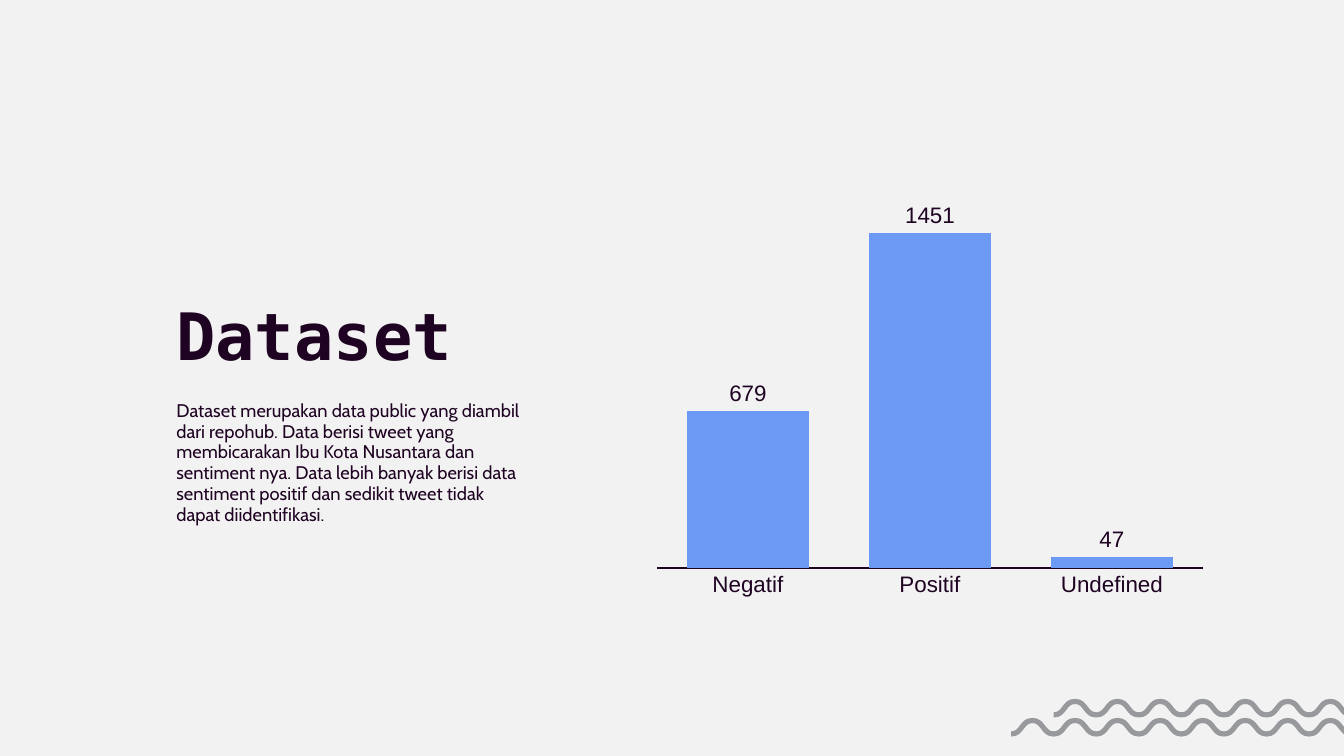
import math
from pptx import Presentation
from pptx import util as u
from pptx.chart.data import CategoryChartData
from pptx.dml.color import RGBColor
from pptx.enum import chart as charts, text
from pptx.oxml import ns

INK, BLUE, GREY, PAPER = "1F0322", "6B99F4", "97999C", "F2F2F2"
DESCRIPTION = (
    "Dataset merupakan data public yang diambil dari repohub. Data berisi tweet "
    "yang membicarakan Ibu Kota Nusantara dan sentiment nya. Data lebih banyak "
    "berisi data sentiment positif dan sedikit tweet tidak dapat diidentifikasi."
)
COUNTS = {"Negatif": 679, "Positif": 1451, "Undefined": 47}


def color(value):
    """Turn a hex string into a colour."""
    return RGBColor.from_string(value)


def style_font(font, name, size, ink=INK, bold=False):
    """Set the face, size, colour and weight of a font."""
    font.name, font.size, font.bold = name, u.Pt(size), bold
    font.color.rgb = color(ink)


def add_text(slide, box, words, *, name, size, bold=False, spacing=1.0,
             anchor=text.MSO_ANCHOR.TOP):
    """Add a wrapped text box with one formatted paragraph."""
    frame = slide.shapes.add_textbox(*map(u.Pt, box)).text_frame
    frame.word_wrap = True
    frame.vertical_anchor = anchor
    frame.margin_left = frame.margin_right = u.Pt(7.2)
    frame.margin_top = frame.margin_bottom = u.Pt(7.2)
    paragraph = frame.paragraphs[0]
    paragraph.line_spacing = spacing
    run = paragraph.add_run()
    run.text = words
    style_font(run.font, name, size, bold=bold)


def add_intro(slide, left, top, width, height):
    """Stack the title over the description in two equal halves."""
    half = height / 2
    add_text(slide, (left, top, width, half), "Dataset",
             name="DejaVu Sans Mono", size=35, bold=True,
             anchor=text.MSO_ANCHOR.BOTTOM)
    add_text(slide, (left, top + half, width - 10.8, half), DESCRIPTION,
             name="Cabin", size=9.8, spacing=0.95)


def add_sentiment_chart(slide, left, top, width, height):
    """Add the column chart of tweets per sentiment."""
    data = CategoryChartData()
    data.categories = list(COUNTS)
    data.add_series("Series 1", list(COUNTS.values()))
    chart = slide.shapes.add_chart(
        charts.XL_CHART_TYPE.COLUMN_CLUSTERED,
        *map(u.Pt, (left, top, width, height)), data).chart
    chart.has_legend = chart.has_title = False
    style_font(chart.font, "Arial", 10)

    values = chart.value_axis
    values.visible = values.has_major_gridlines = False
    values.minimum_scale, values.maximum_scale = 0, 1600
    categories = chart.category_axis
    categories.major_tick_mark = charts.XL_TICK_MARK.NONE
    categories.format.line.color.rgb = color(INK)
    categories.format.line.width = u.Pt(0.75)
    style_font(categories.tick_labels.font, "Arial", 12)

    plot = chart.plots[0]
    plot.gap_width, plot.overlap = 50, -27
    plot.vary_by_categories = False
    plot.has_data_labels = True
    labels = plot.data_labels
    labels.show_value = True
    labels.position = charts.XL_LABEL_POSITION.OUTSIDE_END
    style_font(labels.font, "Arial", 12)
    fill = plot.series[0].format.fill
    fill.solid()
    fill.fore_color.rgb = color(BLUE)


def wave_edge(left, middle, period, cycles, amplitude, offset):
    """Return the Bézier points of one wave edge, offset above the centre line."""
    points = []
    for quarter in range(4 * cycles + 1):
        angle = quarter * math.pi / 2
        cosine, sine = math.cos(angle), math.sin(angle)
        slope = -amplitude * 2 * math.pi / period * sine
        length = math.hypot(1, slope)
        x = left + period * quarter / 4 + offset * slope / length
        y = middle + amplitude * cosine - offset / length
        reach = 1.5 if quarter % 2 else 2.9 - 0.5 * cosine * offset
        rise = -2 * sine
        points += [(x - reach, y - rise), (x, y), (x + reach, y + rise)]
    return [(u.Pt(x), u.Pt(y)) for x, y in points[1:-1]]


def fold_curve(lines):
    """Turn each three straight segments into one Bézier segment."""
    for first, second, third in zip(lines[::3], lines[1::3], lines[2::3]):
        first.tag = ns.qn("a:cubicBezTo")
        for line in (second, third):
            first.extend(list(line))
            line.getparent().remove(line)


def add_waves(slide, left, top, width, height):
    """Draw two parallel waves, the upper one shifted right by one period."""
    cycles, amplitude, half = 8, 3.6, 1.4
    period = width / (cycles + 1)
    drop = height - 2 * (amplitude + half)
    ribbons = []
    for x, y in ((left + period, top), (left, top + drop)):
        upper, lower = (
            wave_edge(x, y + amplitude + half, period, cycles, amplitude, offset)
            for offset in (half, -half))
        ribbons.append(upper + lower[::-1])
    builder = slide.shapes.build_freeform(*ribbons[0][0])
    builder.add_line_segments(ribbons[0][1:])
    builder.move_to(*ribbons[1][0])
    builder.add_line_segments(ribbons[1][1:])
    waves = builder.convert_to_shape()
    lines = list(waves.element.iter(ns.qn("a:lnTo")))
    edge = 12 * cycles
    for ribbon in range(2):
        start = ribbon * (2 * edge + 1)
        fold_curve(lines[start:start + edge])
        fold_curve(lines[start + edge + 1:start + 2 * edge + 1])
    waves.shadow.inherit = False
    waves.fill.solid()
    waves.fill.fore_color.rgb = color(GREY)
    waves.line.fill.background()


def main():
    """Build the dataset slide."""
    presentation = Presentation()
    presentation.slide_width, presentation.slide_height = u.Pt(720), u.Pt(405)
    slide = presentation.slides.add_slide(presentation.slide_layouts[6])
    slide.background.fill.solid()
    slide.background.fill.fore_color.rgb = color(PAPER)
    add_waves(slide, 541.7, 374.4, 205.2, 20.2)
    add_intro(slide, 87.4, 110.2, 213.1, 194.4)
    add_sentiment_chart(slide, 345.9, 101.9, 304.6, 222.5)
    presentation.save("out.pptx")


if __name__ == "__main__":
    main()
